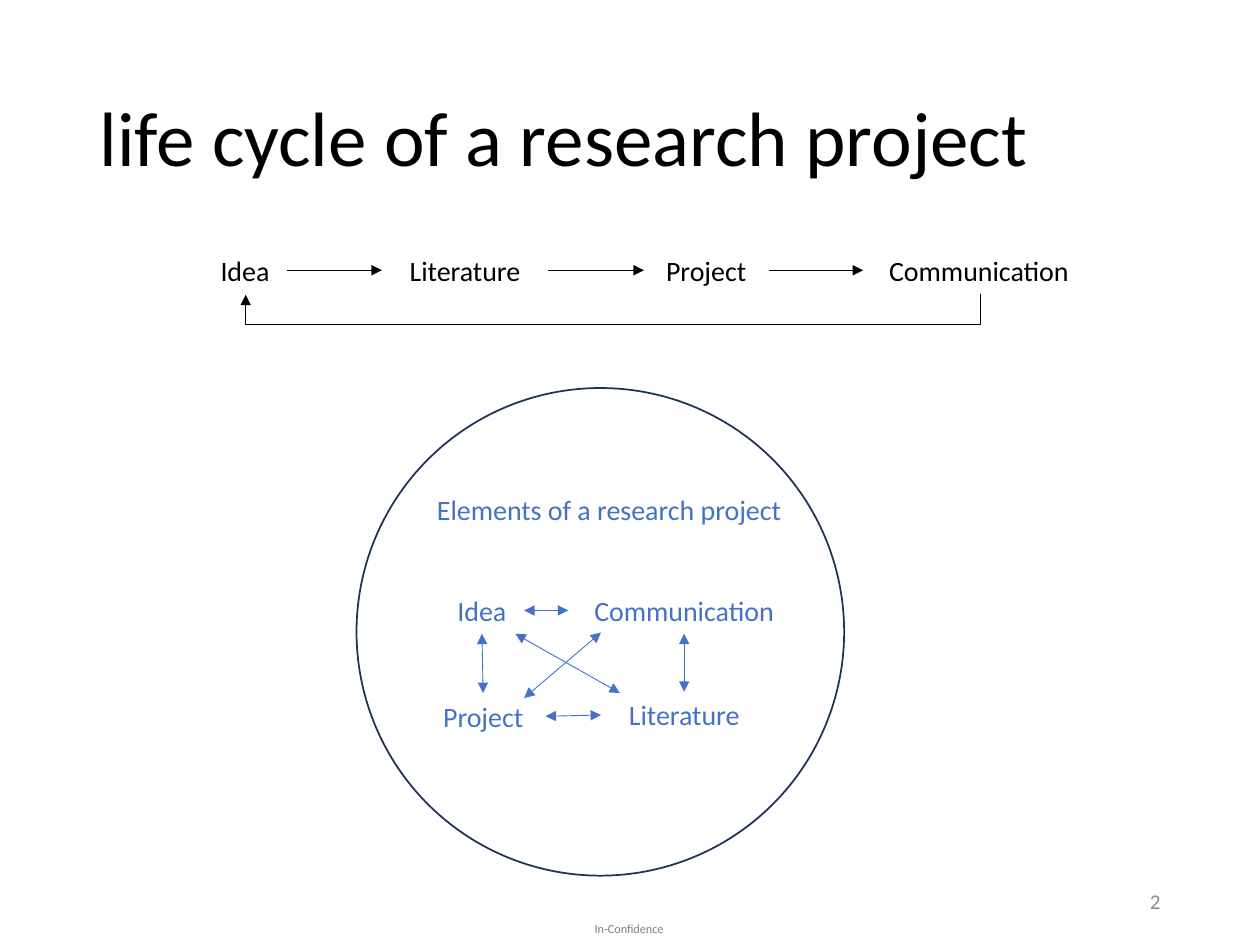
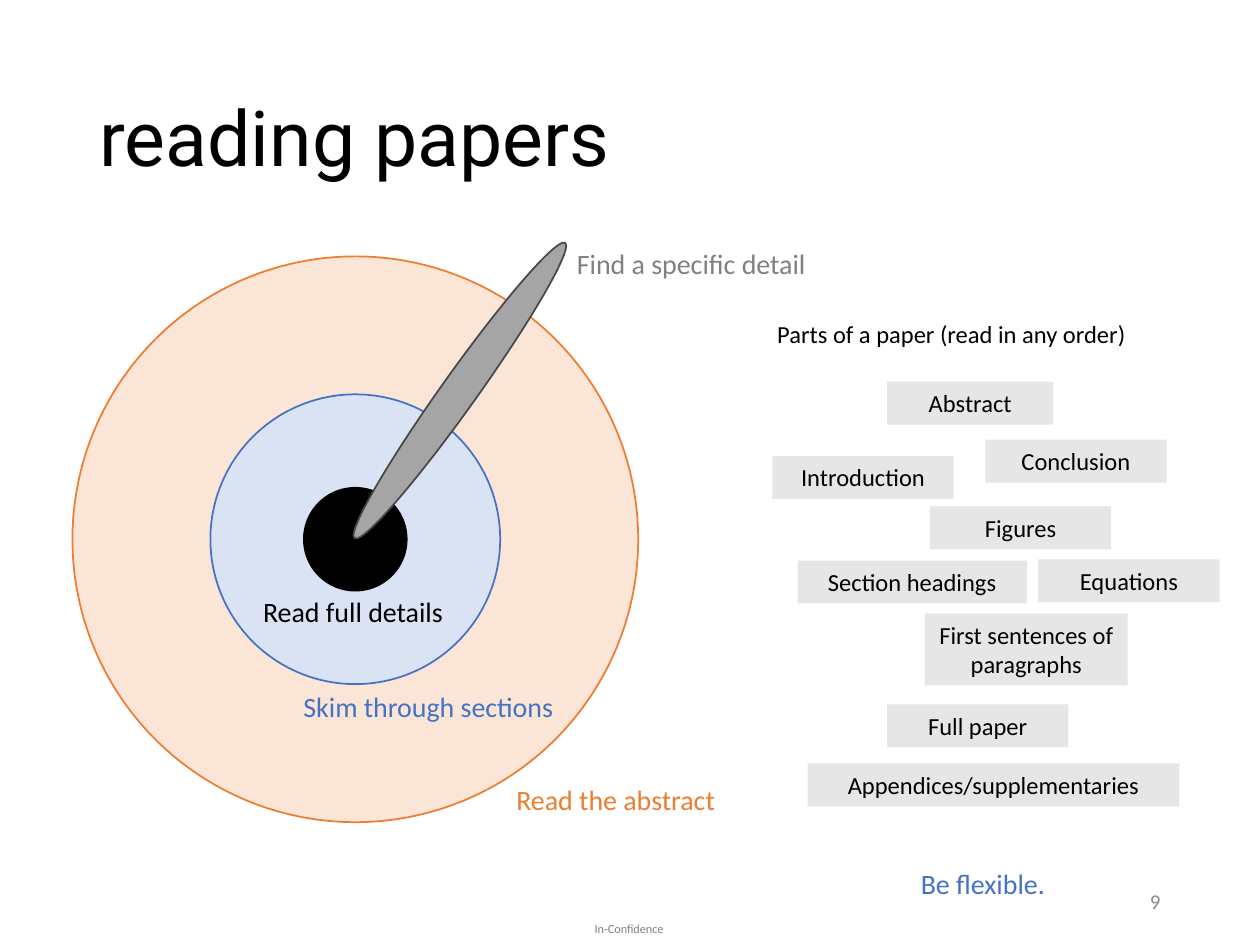
from dataclasses import dataclass

from lxml import etree
from pptx import Presentation
from pptx.dml.color import RGBColor
from pptx.enum.shapes import MSO_CONNECTOR as Connector, MSO_SHAPE as Preset
from pptx.enum.text import MSO_ANCHOR as Anchor, MSO_AUTO_SIZE as AutoSize, PP_ALIGN as Align
from pptx.oxml.ns import qn
from pptx.util import Inches, Pt


@dataclass(frozen=True)
class Theme:
    font: str = "Calibri"
    black: str = "000000"
    blue: str = "4472C4"
    navy: str = "1E3256"
    orange: str = "ED7D31"
    grey: str = "808080"
    page_grey: str = "8C8C8C"
    peach: str = "FBE5D6"
    pale_blue: str = "DAE3F3"
    needle: str = "A5A5A5"
    needle_edge: str = "484848"
    tile: str = "E7E6E6"
    title_size: int = 44
    label_size: int = 16
    tile_size: int = 14
    page_size: int = 12
    footer_size: int = 7
    outline: float = 1
    arrow: float = 0.5


THEME = Theme()
FOOTER = "In-Confidence"
LABEL_HEIGHT = 0.37
TILE_HEIGHT = 0.34

CYCLE_TITLE, CYCLE_PAGE = "life cycle of a research project", "2"
STAGE_TOP = 1.96
STAGES = [("Idea", 1.61, 0.67), ("Literature", 3.03, 1.32),
          ("Project", 5.11, 0.99), ("Communication", 6.85, 1.84)]
RETURN_PATH = {"start_x": 7.78, "end_x": 1.95, "top": 2.33, "rise": 0.01, "drop": 0.25}

PROJECT_CIRCLE = (2.83, 3.08, 3.87, 3.87)
ELEMENTS_HEADING = ("Elements of a research project", 3.06, 3.86, 3.55)
ELEMENTS = [("Idea", 3.49, 4.66, 0.67), ("Communication", 4.51, 4.66, 1.84),
            ("Project", 3.34, 5.5, 0.99), ("Literature", 4.77, 5.49, 1.32)]
# Joined elements with the side each arrow meets: 0 top, 1 left, 2 bottom, 3 right
ELEMENT_LINKS = [("Idea", 2, "Project", 0), ("Idea", 3, "Communication", 1),
                 ("Communication", 2, "Literature", 0), ("Project", 3, "Literature", 1)]
DIAGONALS = [((4.09, 5.03), (4.92, 5.5)), ((4.16, 5.54), (4.77, 5.02))]

READING_TITLE, READING_PAGE = "reading papers", "9"
READING_TITLE_FONT = "Roboto"
TARGET_CENTRE = (2.82, 4.28)
RINGS = [(4.49, THEME.peach, THEME.orange), (2.3, THEME.pale_blue, THEME.blue),
         (0.83, THEME.black, None)]
NEEDLE_BOX, NEEDLE_ROTATION = (2.21, 2.96, 2.88, 0.28), 305.5
READING_LABELS = [("Read full details", 1.99, 4.67, 1.66, THEME.black),
                  ("Skim through sections", 2.31, 5.42, 2.3, THEME.blue),
                  ("Read the abstract", 4, 6.16, 2.14, THEME.orange),
                  ("Find a specific detail", 4.48, 1.91, 2.14, THEME.grey),
                  ("Be flexible.", 7.21, 6.83, 2.3, THEME.blue)]
PARTS_HEADING = ("Parts of a paper (read in any order)", 6.07, 2.48, 3.48)
PAPER_PARTS = [("Abstract", 7.04, 3.03, 1.32), ("Introduction", 6.13, 3.62, 1.44),
               ("Figures", 7.38, 4.02, 1.44), ("Conclusion", 7.82, 3.49, 1.44),
               ("Section headings", 6.33, 4.45, 1.82),
               ("First sentences of paragraphs", 7.34, 4.87, 1.61),
               ("Full paper", 7.04, 5.59, 1.44),
               ("Appendices/supplementaries", 6.41, 6.06, 2.95),
               ("Equations", 8.24, 4.44, 1.44)]
TWO_LINE_PARTS = {"First sentences of paragraphs": 0.57}


def apply_format(target, values):
    for attribute, value in values.items():
        setattr(target, attribute, value)


def lengths(values):
    return [Inches(value) for value in values]


def write(shape, text, size, color=THEME.black, font=THEME.font, align=Align.LEFT,
          spacing=None, **frame_format):
    frame = shape.text_frame
    apply_format(frame, {"text": text, "word_wrap": True, **frame_format})
    paragraph = frame.paragraphs[0]
    apply_format(paragraph, {"alignment": align, "line_spacing": spacing})
    run_font = paragraph.runs[0].font
    apply_format(run_font, {"name": font, "size": Pt(size)})
    run_font.color.rgb = RGBColor.from_string(color)


def add_label(slide, text, left, top, width, height=LABEL_HEIGHT, size=THEME.label_size,
              **style):
    label = slide.shapes.add_textbox(*lengths((left, top, width, height)))
    write(label, text, size, **{"auto_size": AutoSize.SHAPE_TO_FIT_TEXT, **style})
    return label


def add_figure(slide, preset, box, fill=None, edge=None):
    figure = slide.shapes.add_shape(preset, *lengths(box))
    figure.shadow.inherit = False
    if fill:
        figure.fill.solid()
        figure.fill.fore_color.rgb = RGBColor.from_string(fill)
    else:
        figure.fill.background()
    if edge:
        figure.line.color.rgb = RGBColor.from_string(edge)
        figure.line.width = Pt(THEME.outline)
    else:
        figure.line.fill.background()
    return figure


def add_arrow(slide, start=(0, 0), end=(0, 0), color=THEME.black, ends=("tailEnd",),
              kind=Connector.STRAIGHT):
    arrow = slide.shapes.add_connector(kind, *lengths((*start, *end)))
    arrow.line.color.rgb = RGBColor.from_string(color)
    arrow.line.width = Pt(THEME.arrow)
    properties = arrow.element.spPr
    outline = properties.find(qn("a:ln"))
    for end_name in ends:
        etree.SubElement(outline, qn(f"a:{end_name}"), type="triangle")
    etree.SubElement(properties, qn("a:effectLst"))
    return arrow


def join(slide, first, first_side, second, second_side, **style):
    arrow = add_arrow(slide, **style)
    arrow.begin_connect(first, first_side)
    arrow.end_connect(second, second_side)


def add_return_arrow(slide, start_x, end_x, top, rise, drop):
    """Draw the elbow that drops below the stages and leads back to the first one.

    The elbow is laid out upright, then turned a quarter about its centre.
    """
    centre_x, centre_y = (start_x + end_x) / 2, top + rise / 2
    half_span = (start_x - end_x) / 2
    elbow = add_arrow(slide, (centre_x - rise / 2, centre_y - half_span),
                      (centre_x + rise / 2, centre_y + half_span), kind=Connector.ELBOW)
    properties = elbow.element.spPr
    properties.find(qn("a:xfrm")).set("rot", str(90 * 60000))
    geometry = properties.find(qn("a:prstGeom"))
    adjustments = geometry.find(qn("a:avLst"))
    if adjustments is None:
        adjustments = etree.SubElement(geometry, qn("a:avLst"))
    etree.SubElement(adjustments, qn("a:gd"), name="adj1",
                     fmla=f"val {round(drop / rise * 100000)}")


def start_slide(deck, heading, page, font=THEME.font):
    slide = deck.slides.add_slide(deck.slide_layouts[5])
    title = slide.shapes.title
    places = zip(("left", "top", "width", "height"), lengths((0.69, 0.4, 8.62, 1.45)))
    apply_format(title, dict(places))
    write(title, heading, THEME.title_size, font=font, spacing=0.9,
          vertical_anchor=Anchor.MIDDLE, auto_size=AutoSize.NONE)
    no_margins = dict.fromkeys(
        ("margin_left", "margin_top", "margin_right", "margin_bottom"), 0)
    add_label(slide, FOOTER, 4.72, 7.31, 0.57, 0.12, THEME.footer_size,
              color=THEME.grey, **{**no_margins, "word_wrap": False})
    add_label(slide, page, 7.06, 6.95, 2.25, 0.4, THEME.page_size, color=THEME.page_grey,
              align=Align.RIGHT, vertical_anchor=Anchor.MIDDLE, auto_size=AutoSize.NONE)
    return slide


def build_life_cycle(deck):
    slide = start_slide(deck, CYCLE_TITLE, CYCLE_PAGE)
    stages = [add_label(slide, name, left, STAGE_TOP, width, align=Align.CENTER)
              for name, left, width in STAGES]
    for stage, following in zip(stages, stages[1:]):
        join(slide, stage, 3, following, 1)
    add_return_arrow(slide, **RETURN_PATH)

    blue_text = {"color": THEME.blue, "align": Align.CENTER}
    add_label(slide, *ELEMENTS_HEADING, **blue_text)
    elements = {name: add_label(slide, name, *place, **blue_text)
                for name, *place in ELEMENTS}
    two_way = {"color": THEME.blue, "ends": ("headEnd", "tailEnd")}
    for first, first_side, second, second_side in ELEMENT_LINKS:
        join(slide, elements[first], first_side, elements[second], second_side, **two_way)
    for start, end in DIAGONALS:
        add_arrow(slide, start, end, **two_way)
    add_figure(slide, Preset.OVAL, PROJECT_CIRCLE, edge=THEME.navy)


def build_reading_papers(deck):
    slide = start_slide(deck, READING_TITLE, READING_PAGE, READING_TITLE_FONT)
    for diameter, fill, edge in RINGS:
        corner = [centre - diameter / 2 for centre in TARGET_CENTRE]
        add_figure(slide, Preset.OVAL, (*corner, diameter, diameter), fill, edge)
    needle = add_figure(slide, Preset.OVAL, NEEDLE_BOX, THEME.needle, THEME.needle_edge)
    needle.rotation = NEEDLE_ROTATION
    for text, left, top, width, color in READING_LABELS:
        add_label(slide, text, left, top, width, color=color)

    add_label(slide, *PARTS_HEADING, TILE_HEIGHT, THEME.tile_size)
    for part, left, top, width in PAPER_PARTS:
        height = TWO_LINE_PARTS.get(part, TILE_HEIGHT)
        tile = add_figure(slide, Preset.RECTANGLE, (left, top, width, height), THEME.tile)
        write(tile, part, THEME.tile_size, align=Align.CENTER,
              vertical_anchor=Anchor.TOP, auto_size=AutoSize.SHAPE_TO_FIT_TEXT)


def main():
    deck = Presentation()
    apply_format(deck, {"slide_width": Inches(10), "slide_height": Inches(7.5)})
    build_life_cycle(deck)
    build_reading_papers(deck)
    deck.save("out.pptx")


if __name__ == "__main__":
    main()
